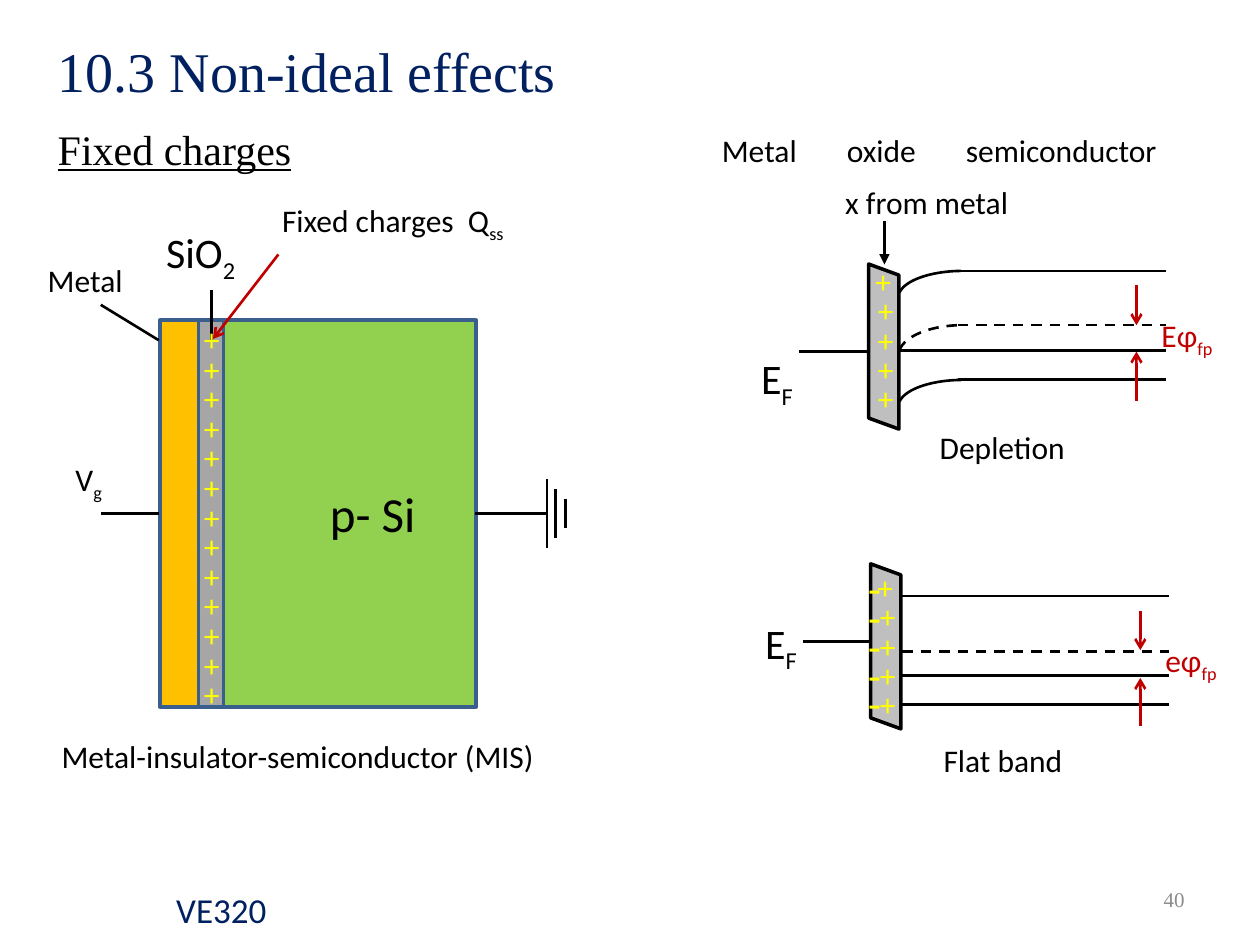
from lxml import etree
from pptx import Presentation
from pptx.dml.color import RGBColor
from pptx.enum.dml import MSO_LINE
from pptx.enum.shapes import MSO_CONNECTOR, MSO_SHAPE
from pptx.enum.text import MSO_ANCHOR, PP_ALIGN
from pptx.oxml.ns import qn
from pptx.util import Pt

BLACK = RGBColor(0x00, 0x00, 0x00)
NAVY = RGBColor(0x00, 0x20, 0x60)
RED = RGBColor(0xC0, 0x00, 0x00)
YELLOW = RGBColor(0xFF, 0xFF, 0x00)
ORANGE = RGBColor(0xFF, 0xC0, 0x00)
GREEN = RGBColor(0x92, 0xD0, 0x50)
GREY = RGBColor(0xA6, 0xA6, 0xA6)
LIGHT_GREY = RGBColor(0xBF, 0xBF, 0xBF)
PAGE_GREY = RGBColor(0x8C, 0x8C, 0x8C)
BLUE = RGBColor(0x3A, 0x5F, 0x8C)
SERIF = "Times New Roman"

presentation = Presentation()
presentation.slide_width, presentation.slide_height = Pt(720), Pt(540)
slide = presentation.slides.add_slide(presentation.slide_layouts[6])
shapes = slide.shapes


def add_text(text, left, top, width, height=28.8, size=18, color=BLACK,
             font="Calibri", subscript=None):
    box = shapes.add_textbox(Pt(left), Pt(top), Pt(width), Pt(height))
    box.text_frame.word_wrap = True
    paragraph = box.text_frame.paragraphs[0]
    paragraph.add_run().text = text
    paragraph.font.size = Pt(size)
    paragraph.font.name = font
    paragraph.font.color.rgb = color
    if subscript:
        run = paragraph.add_run()
        run.text = subscript
        run._r.get_or_add_rPr().set("baseline", "-25000")
    return box


def add_line(x1, y1, x2, y2, color=BLACK, width=1.5, dashed=False, head=None):
    """Draw a straight line; head is the arrowhead type at its end."""
    line = shapes.add_connector(MSO_CONNECTOR.STRAIGHT, Pt(x1), Pt(y1), Pt(x2), Pt(y2))
    line.line.color.rgb = color
    line.line.width = Pt(width)
    if dashed:
        line.line.dash_style = MSO_LINE.DASH
    if head:
        etree.SubElement(line.line._get_or_add_ln(), qn("a:tailEnd"), type=head)
    etree.SubElement(line._element.spPr, qn("a:effectLst"))


# Headings and footer
title = add_text("10.3 Non-ideal effects", 25.9, 9.4, 648, 61.2, 32, NAVY, SERIF)
title.text_frame.vertical_anchor = MSO_ANCHOR.MIDDLE
subtitle = add_text("Fixed charges", 25.9, 67, 149, 36, 24, font=SERIF)
subtitle.text_frame.word_wrap = False
subtitle.text_frame.paragraphs[0].font.underline = True
add_text("VE320", 93.6, 504, 70.6, 31.7, 20, NAVY)
page_number = add_text("40", 516.2, 499.7, 167.8, 28.8, 12, PAGE_GREY, SERIF)
page_number.text_frame.vertical_anchor = MSO_ANCHOR.MIDDLE
page_number.text_frame.paragraphs[0].alignment = PP_ALIGN.RIGHT

# Metal-insulator-semiconductor stack
for left, width, color in ((91.4, 22.3, ORANGE), (127.4, 144.7, GREEN), (113.4, 14.4, GREY)):
    layer = shapes.add_shape(MSO_SHAPE.RECTANGLE, Pt(left), Pt(183), Pt(width), Pt(221))
    layer.shadow.inherit = False
    layer.fill.solid()
    layer.fill.fore_color.rgb = color
    layer.line.color.rgb = BLUE
    layer.line.width = Pt(2)

add_text("p- Si", 181.4, 272.9, 65.5, 41, 28)
add_text("SiO", 87.8, 126, 73.4, 36, 24, subscript="2")
add_text("Metal", 20.2, 145.4, 74.9)
add_text("V", 36, 259.2, 42.5, subscript="g")
add_text("Metal-insulator-semiconductor (MIS)", 28.1, 417.6, 290.2)
add_line(121, 194.4, 121, 165.6)
add_line(57.6, 174.2, 90.7, 194.4)
add_line(57.6, 293.4, 90.7, 293.4)
add_line(271.4, 293.4, 312.5, 293.4)
for x, half_height in ((312.5, 19.8), (317.5, 14), (323.3, 8.3)):
    add_line(x, 293.4 - half_height, x, 293.4 + half_height)

for row in range(13):
    add_text("+", 109.4, 179.3 + 16.92 * row, 19.4, color=YELLOW)
add_line(159.1, 145.4, 121.7, 193.7, RED, head="arrow")
add_text("Fixed charges  Q", 154.1, 111.6, 163.4, subscript="ss")

# Band diagrams: band edge, mid-gap, Fermi and valence levels
for (shift, band_left, levels, metal_level, symbol, symbol_top, metal_label_top, caption,
     caption_top, oxide_top, plus_top, arrow_spans) in (
        (0, 547.2, (154.8, 185.8, 200.2, 216.7), 200.9, "Eφ", 177.1, 198,
         "Depletion", 241.2, 189.4, 146.2, ((162.7, 185.8), (229, 200.9))),
        (2.2, 515.6, (340.6, 372.2, 385.9, 402.5), 366.5, "eφ", 362.9, 349.2,
         "Flat band", 419.8, 360.7, 321.1, ((349.2, 371.5), (414.7, 387.4)))):
    for index, level in enumerate(levels):
        left = 513.4 + shift if index == 2 else band_left
        add_line(left, level, 666 + shift, level, dashed=index == 1)
    for start, end in arrow_spans:
        add_line(649.4 + shift, start, 649.4 + shift, end, RED, head="arrow")
    add_text(symbol, 656.6 + shift, symbol_top, 49, color=RED, subscript="fp")
    add_line(456.5 + shift, metal_level, 496.1 + shift, metal_level, width=2)
    add_text("E", 427.9 + shift, metal_label_top, 45.4, 36, 24, subscript="F")
    add_text(caption, 529.9 + shift, caption_top, 90.5)

    oxide = shapes.add_shape(MSO_SHAPE.PARALLELOGRAM, Pt(457.9 + shift / 2),
                             Pt(oxide_top), Pt(94.3), Pt(17.3))
    oxide.rotation = 270
    oxide.adjustments[0] = 0.364
    oxide.shadow.inherit = False
    oxide.fill.solid()
    oxide.fill.fore_color.rgb = LIGHT_GREY
    oxide.line.color.rgb = BLACK
    oxide.line.width = Pt(2)
    for row in range(5):
        plus_left = 493.2 if row == 0 else 494.6
        add_text("+", plus_left + shift / 2, plus_top + 16.75 * row, 19.4, color=YELLOW)

# Band bending next to the depleted oxide
for top, height, dashed in ((154.8, 30.2, False), (217.1, 30.2, False), (185.8, 34.6, True)):
    bend = shapes.add_shape(MSO_SHAPE.ARC, Pt(513.4), Pt(top), Pt(73.4), Pt(height))
    bend.adjustments[0], bend.adjustments[1] = 110.732, 159.696
    bend.shadow.inherit = False
    bend.fill.background()
    bend.line.color.rgb = BLACK
    bend.line.width = Pt(1.5)
    if dashed:
        bend.line.dash_style = MSO_LINE.DASH

# Negative charges on the flat-band metal side
for row in range(5):
    add_text("-", 489, 318.2 + 16.4 * row, 18, 36, 24, YELLOW)

# Region names
regions = add_text("Metal\toxide\tsemiconductor", 405.4, 71.3, 277.9)
region_properties = regions.text_frame.paragraphs[0]._p.get_or_add_pPr()
tab_list = etree.Element(qn("a:tabLst"))
for position in (71.4, 139.4):
    etree.SubElement(tab_list, qn("a:tab"), pos=str(Pt(position)), algn="l")
region_properties.insert(0, tab_list)
add_line(505.4, 126, 505.4, 151.2, head="triangle")
add_text("x from metal", 475.9, 100.8, 131)

presentation.save("out.pptx")
